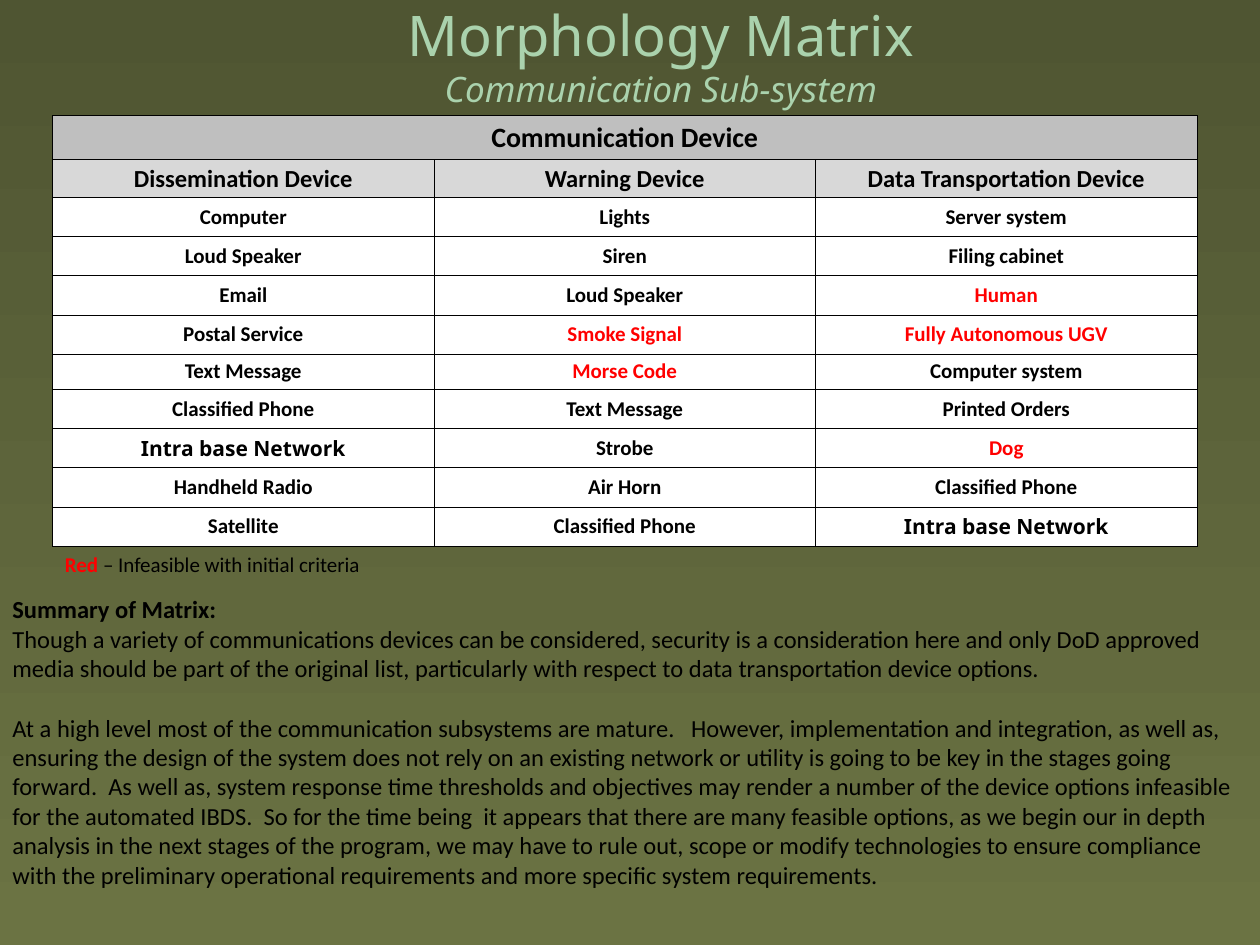
from lxml import etree
from pptx import Presentation
from pptx.dml.color import RGBColor
from pptx.enum.text import MSO_ANCHOR, MSO_AUTO_SIZE, PP_ALIGN
from pptx.oxml.ns import qn
from pptx.util import Cm, Pt

CENTER, MIDDLE = PP_ALIGN.CENTER, MSO_ANCHOR.MIDDLE
GROW, FIXED = MSO_AUTO_SIZE.SHAPE_TO_FIT_TEXT, MSO_AUTO_SIZE.NONE
TITLE_ONLY = 5

TITLE, SUBTITLE = "Morphology Matrix", "Communication Sub-system"
MATRIX_HEADING = "Communication Device"
DEVICE_TYPES = ("Dissemination Device", "Warning Device", "Data Transportation Device")
OPTIONS = [
    ("Computer", "Lights", "Server system"),
    ("Loud Speaker", "Siren", "Filing cabinet"),
    ("Email", "Loud Speaker", "Human"),
    ("Postal Service", "Smoke Signal", "Fully Autonomous UGV"),
    ("Text Message", "Morse Code", "Computer system"),
    ("Classified Phone", "Text Message", "Printed Orders"),
    ("Intra base Network", "Strobe", "Dog"),
    ("Handheld Radio", "Air Horn", "Classified Phone"),
    ("Satellite", "Classified Phone", "Intra base Network"),
]
INFEASIBLE = {"Human", "Smoke Signal", "Fully Autonomous UGV", "Morse Code", "Dog"}
ACCENTED = {"Intra base Network"}
LEGEND = ("Red ", "– Infeasible with initial criteria")
SUMMARY_HEADING = "Summary of Matrix:"
SUMMARY = [
    "Though a variety of communications devices can be considered, security is a "
    "consideration here and only DoD approved media should be part of the original "
    "list, particularly with respect to data transportation device options.",
    "At a high level most of the communication subsystems are mature.   However, "
    "implementation and integration, as well as, ensuring the design of the system "
    "does not rely on an existing network or utility is going to be key in the stages "
    "going forward.  As well as, system response time thresholds and objectives may "
    "render a number of the device options infeasible for the automated IBDS.  So for "
    "the time being  it appears that there are many feasible options, as we begin our "
    "in depth analysis in the next stages of the program, we may have to rule out, "
    "scope or modify technologies to ensure compliance with the preliminary "
    "operational requirements and more specific system requirements.",
]

THEME = {
    "body_font": "Calibri", "title_font": "Noto Sans",
    "text": "000000", "infeasible": "FF0000", "title": "AAD2AD",
    "heading_fill": "BFBFBF", "type_fill": "D8D8D8", "option_fill": "FFFFFF",
    "border": "000000", "background": ("4F5532", "6B7343"),
    "title_size": 32, "subtitle_size": 20, "heading_size": 16,
    "type_size": 14, "option_size": 12, "legend_size": 12, "summary_size": 14,
}

SLIDE_W, SLIDE_H = 25.4, 19.05
MATRIX_LEFT, MATRIX_TOP, MATRIX_W = 1.06, 2.33, 23.07
HEADING_H, TYPE_H, OPTION_H, SHORT_OPTION_H = 0.89, 0.76, 0.79, 0.71
SHORT_OPTION = 4


def add_run(paragraph, text, size, color="text", font="body_font", bold=False, italic=False):
    run = paragraph.add_run()
    run.text = text
    run.font.name = THEME[font]
    run.font.size = Pt(THEME[size])
    run.font.bold, run.font.italic = bold, italic
    run.font.color.rgb = RGBColor.from_string(THEME[color])


def set_borders(cell):
    properties = cell._tc.get_or_add_tcPr()
    for side in ("lnL", "lnR", "lnT", "lnB"):
        line = etree.SubElement(properties, qn(f"a:{side}"), w=str(Pt(0.5)))
        fill = etree.SubElement(line, qn("a:solidFill"))
        etree.SubElement(fill, qn("a:srgbClr"), val=THEME["border"])


def fill_cell(cell, text, level):
    set_borders(cell)
    cell.fill.solid()
    cell.fill.fore_color.rgb = RGBColor.from_string(THEME[f"{level}_fill"])
    cell.margin_left = cell.margin_right = cell.margin_top = cell.margin_bottom = 0
    cell.vertical_anchor = MIDDLE
    paragraph = cell.text_frame.paragraphs[0]
    paragraph.alignment = CENTER
    if text:
        add_run(paragraph, text, f"{level}_size",
                color="infeasible" if text in INFEASIBLE else "text",
                font="title_font" if text in ACCENTED else "body_font", bold=True)


def add_background(slide):
    fill = slide.background.fill
    fill.gradient()
    fill.gradient_angle = 270
    for stop, color, position in zip(fill.gradient_stops, THEME["background"], (0, 1)):
        stop.color.rgb = RGBColor.from_string(color)
        stop.position = position


def add_title(slide):
    title = slide.shapes.title
    title.left, title.top, title.width, title.height = Cm(0), Cm(-0.2), Cm(SLIDE_W), Cm(2.62)
    frame = title.text_frame
    frame.auto_size, frame.word_wrap, frame.vertical_anchor = FIXED, True, MIDDLE
    frame.margin_left = frame.margin_right = frame.margin_top = frame.margin_bottom = Cm(0.1)
    paragraph = frame.paragraphs[0]
    paragraph.alignment = CENTER
    paragraph._p.get_or_add_pPr().set("marL", str(Cm(1.25)))
    add_run(paragraph, TITLE, "title_size", "title", "title_font")
    paragraph.add_line_break()
    add_run(paragraph, SUBTITLE, "subtitle_size", "title", "title_font", italic=True)


def add_matrix(slide):
    heights = [HEADING_H, TYPE_H] + [OPTION_H] * len(OPTIONS)
    heights[2 + SHORT_OPTION] = SHORT_OPTION_H
    rows = [("heading", (MATRIX_HEADING, "", "")), ("type", DEVICE_TYPES)]
    rows += [("option", options) for options in OPTIONS]
    columns = len(DEVICE_TYPES)
    table = slide.shapes.add_table(len(rows), columns, Cm(MATRIX_LEFT), Cm(MATRIX_TOP),
                                   Cm(MATRIX_W), Cm(sum(heights))).table
    table.first_row = table.horz_banding = False
    for column in table.columns:
        column.width = Cm(MATRIX_W / columns)
    for r, ((level, texts), height) in enumerate(zip(rows, heights)):
        table.rows[r].height = Cm(height)
        for c, text in enumerate(texts):
            fill_cell(table.cell(r, c), text, level)
    table.cell(0, 0).merge(table.cell(0, columns - 1))


def add_text_frame(slide, left, top, width, height):
    frame = slide.shapes.add_textbox(Cm(left), Cm(top), Cm(width), Cm(height)).text_frame
    frame.word_wrap, frame.auto_size = True, GROW
    return frame


def add_legend(slide):
    paragraph = add_text_frame(slide, MATRIX_LEFT, 11, 10.8, 0.77).paragraphs[0]
    label, meaning = LEGEND
    add_run(paragraph, label, "legend_size", "infeasible", bold=True)
    add_run(paragraph, meaning, "legend_size")


def add_summary(slide):
    frame = add_text_frame(slide, 0, 11.86, SLIDE_W, 9.25)
    add_run(frame.paragraphs[0], SUMMARY_HEADING, "summary_size", bold=True)
    for index, text in enumerate(SUMMARY):
        paragraph = frame.add_paragraph()
        paragraph.space_before = Pt(17 if index else 0)
        add_run(paragraph, text, "summary_size")


def main():
    deck = Presentation()
    deck.slide_width, deck.slide_height = Cm(SLIDE_W), Cm(SLIDE_H)
    slide = deck.slides.add_slide(deck.slide_layouts[TITLE_ONLY])
    add_background(slide)
    add_summary(slide)
    add_matrix(slide)
    add_legend(slide)
    add_title(slide)
    deck.save("out.pptx")


if __name__ == "__main__":
    main()
